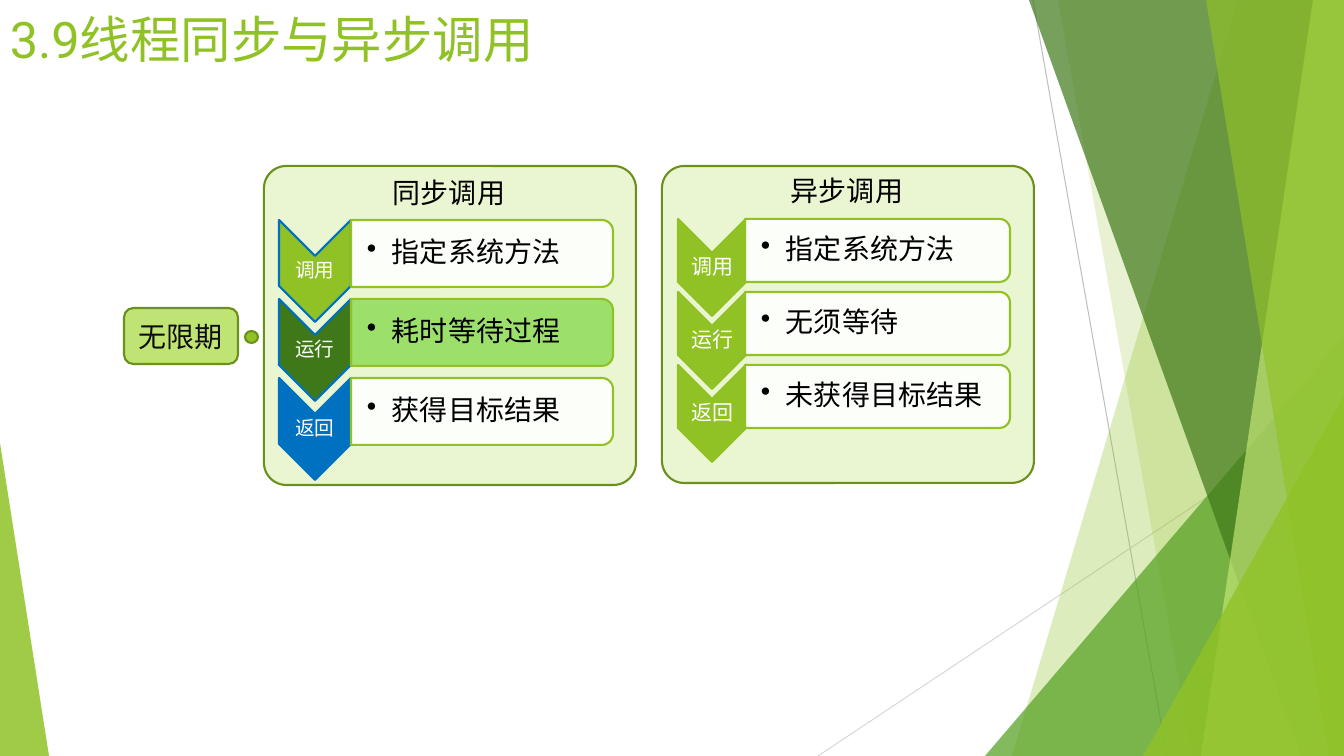
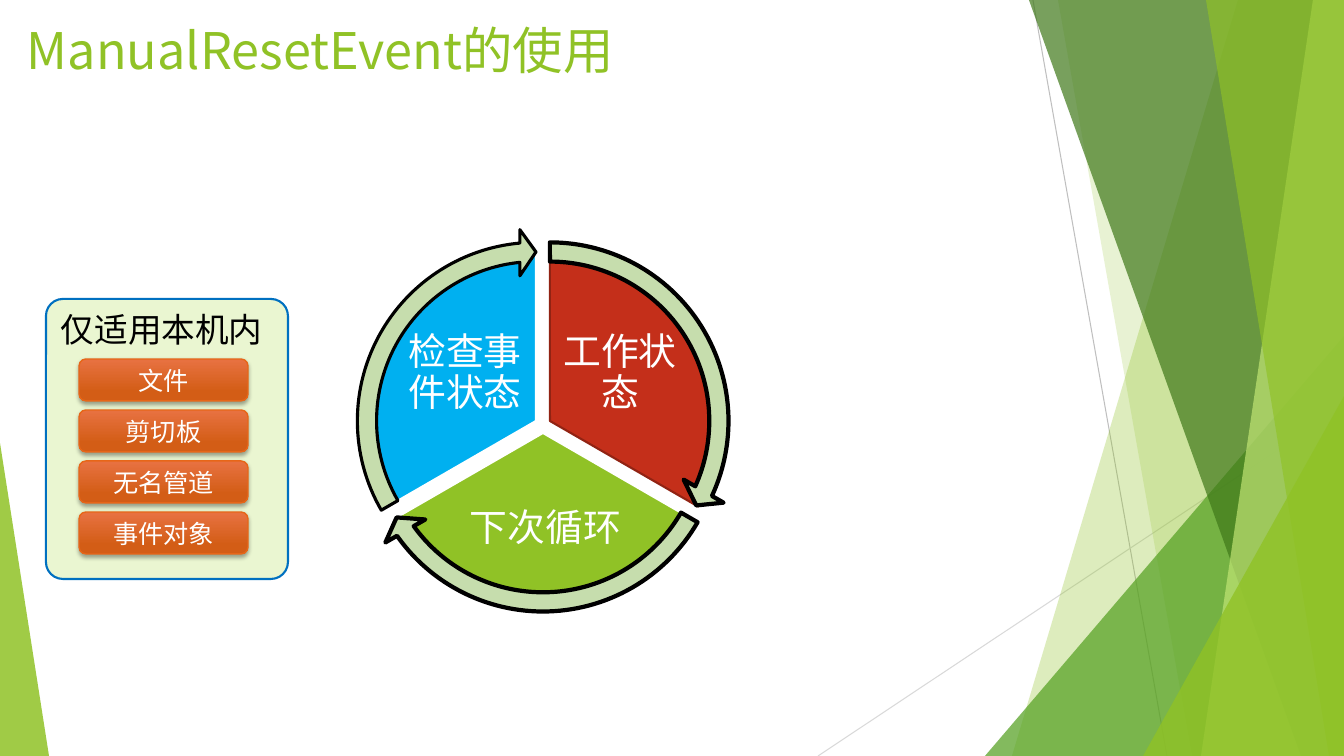
from lxml.etree import SubElement
from pptx import Presentation
from pptx.dml.color import RGBColor
from pptx.enum.shapes import MSO_CONNECTOR, MSO_SHAPE as SHAPE
from pptx.enum.text import MSO_ANCHOR, PP_ALIGN
from pptx.oxml.ns import qn
from pptx.util import Emu, Pt

WIDTH, HEIGHT = 1344, 756
SCALE = 12192000 / WIDTH

WHITE = RGBColor(0xFF, 0xFF, 0xFF)
BLACK = RGBColor(0, 0, 0)
INK = RGBColor(0x0D, 0x0D, 0x0D)
GREY = RGBColor(0xBF, 0xBF, 0xBF)
PALE_GREY = RGBColor(0xD9, 0xD9, 0xD9)
LIME = RGBColor(0x90, 0xC2, 0x26)
PALE_LIME = RGBColor(0xC0, 0xE4, 0x74)
MIST = RGBColor(0xEA, 0xF6, 0xD1)
OLIVE = RGBColor(0x6B, 0x90, 0x1C)
GREEN = RGBColor(0x54, 0xA0, 0x21)
DARK_GREEN = RGBColor(0x3F, 0x78, 0x19)
LIGHT_GREEN = RGBColor(0x94, 0xDE, 0x61)
SAGE = RGBColor(0xC6, 0xDD, 0xAD)
BLUE = RGBColor(0x00, 0x70, 0xC0)
SKY = RGBColor(0x00, 0xB0, 0xF0)
RED = RGBColor(0xC4, 0x2F, 0x1A)
DARK_RED = RGBColor(0x91, 0x23, 0x13)
ORANGE = RGBColor(0xE8, 0x72, 0x42)
DARK_ORANGE = RGBColor(0xD3, 0x5D, 0x16)
EDGE_ORANGE = RGBColor(0xE7, 0x66, 0x18)

NOTO = "Noto Sans CJK SC"
ROBOTO = "Roboto"
CENTER = PP_ALIGN.CENTER


def px(n):
    return Emu(round(n * SCALE))


def paint(s, fill, line=None, weight=1.5, alpha=100):
    s.shadow.inherit = False
    s.fill.solid()
    s.fill.fore_color.rgb = fill
    if alpha < 100:
        color = s._element.spPr.find(qn("a:solidFill")).find(qn("a:srgbClr"))
        SubElement(color, qn("a:alpha"), val=str(alpha * 1000))
    if line is None:
        s.line.fill.background()
    else:
        s.line.color.rgb = line
        s.line.width = Pt(weight)


def add_box(slide, kind, box, fill, line=None, weight=1.5, alpha=100, adj=()):
    s = slide.shapes.add_shape(kind, *map(px, box))
    for i, value in enumerate(adj):
        s.adjustments[i] = value
    paint(s, fill, line, weight, alpha)
    return s


def add_turned(slide, kind, box, fill, line, alpha=100):
    x, y, w, h = box
    unturned = (x + (w - h) / 2, y + (h - w) / 2, h, w)
    s = add_box(slide, kind, unturned, fill, line, alpha=alpha)
    s.rotation = 90


def write(s, text, size, color, font=NOTO, align=PP_ALIGN.LEFT,
          anchor=MSO_ANCHOR.MIDDLE, wrap=True, spacing=None):
    tf = s.text_frame
    tf.word_wrap = wrap
    tf.vertical_anchor = anchor
    p = tf.paragraphs[0]
    p.text = text
    p.alignment = align
    if spacing:
        p.line_spacing = spacing
    p.font.size = Pt(size)
    p.font.color.rgb = color
    p.font.name = font
    props = p._p.get_or_add_pPr().find(qn("a:defRPr"))
    SubElement(props, qn("a:ea"), typeface=NOTO)
    return p


def add_text(slide, box, text, size, color, inset=None, **style):
    s = slide.shapes.add_textbox(*map(px, box))
    if inset is not None:
        tf = s.text_frame
        tf.margin_left = tf.margin_right = px(inset)
        tf.margin_top = tf.margin_bottom = px(inset)
    p = write(s, text, size, color, **style)
    return s, p


def add_heading(slide, box, text, size):
    add_text(slide, box, text, size, BLACK, anchor=MSO_ANCHOR.TOP, wrap=False)


def add_bullet(slide, box, text):
    s, p = add_text(slide, box, text, 20, BLACK, inset=1, spacing=0.9)
    s.text_frame.margin_left = px(16)
    props = p._p.get_or_add_pPr()
    props.set("marL", str(px(25)))
    props.set("indent", str(-px(25)))
    bullet = props.makeelement(qn("a:buChar"), {"char": "•"})
    props.find(qn("a:defRPr")).addprevious(bullet)


def add_line(slide, start, end, color):
    s = slide.shapes.add_connector(MSO_CONNECTOR.STRAIGHT, *map(px, start + end))
    s.line.color.rgb = color
    s.line.width = Pt(0.75)
    SubElement(s._element.spPr, qn("a:effectLst"))


def add_veil(slide, top, bottom, color, alpha):
    builder = slide.shapes.build_freeform(px(top), 0)
    corners = [(WIDTH, 0), (WIDTH, HEIGHT), (bottom, HEIGHT)]
    builder.add_line_segments([(px(x), px(y)) for x, y in corners])
    paint(builder.convert_to_shape(), color, alpha=alpha)


def add_corner(slide, box, apex, color, alpha):
    add_box(slide, SHAPE.ISOSCELES_TRIANGLE, box, color, alpha=alpha, adj=[apex])


def add_backdrop(slide):
    add_line(slide, (1033, 0), (1167, HEIGHT), GREY)
    add_line(slide, (WIDTH, 406), (818, HEIGHT), PALE_GREY)
    add_veil(slide, 1238, 1012, LIME, 30)
    add_veil(slide, 1058, 1192, LIME, 20)
    add_corner(slide, (985, 336, 359, 420), 1, GREEN, 72)
    add_veil(slide, 1029, 1301, DARK_GREEN, 70)
    add_veil(slide, 1313, 1201, PALE_LIME, 70)
    add_veil(slide, 1206, 1329, LIME, 65)
    add_corner(slide, (1143, 396, 201, 360), 1, LIME, 80)
    add_corner(slide, (0, 443, 49, 313), 0, LIME, 85)


def add_titled_slide(prs, box, title, font):
    slide = prs.slides.add_slide(prs.slide_layouts[6])
    add_backdrop(slide)
    add_text(slide, box, title, 36, LIME, font=font, anchor=MSO_ANCHOR.TOP)
    return slide


def add_panel(slide, box, line):
    add_box(slide, SHAPE.ROUNDED_RECTANGLE, box, MIST, line, adj=[0.07])


def add_step(slide, chevron, bar, label, text, size, font, colors):
    chevron_fill, chevron_line, bar_fill = colors
    x, y, w, h = chevron
    add_turned(slide, SHAPE.CHEVRON, chevron, chevron_fill, chevron_line)
    add_text(slide, (x, y + w / 2, w, h - w), label, size, WHITE, inset=1,
             font=font, align=CENTER, spacing=0.9)
    add_turned(slide, SHAPE.ROUND_2_SAME_RECTANGLE, bar, bar_fill, LIME, 90)
    add_bullet(slide, bar, text)


def add_steps(slide, chevron, bar, pitch, size, font, texts, colors):
    for i, (label, text) in enumerate(zip(["调用", "运行", "返回"], texts)):
        boxes = [(x, y + i * pitch, w, h) for x, y, w, h in (chevron, bar)]
        add_step(slide, *boxes, label, text, size, font, colors[i])


def add_button(slide, box, text):
    s = add_box(slide, SHAPE.ROUNDED_RECTANGLE, box, ORANGE, EDGE_ORANGE, 1)
    s.fill.gradient()
    s.fill.gradient_angle = 270
    stops = zip(s.fill.gradient_stops, (0, 0.78), (ORANGE, DARK_ORANGE))
    for stop, position, color in stops:
        stop.position = position
        stop.color.rgb = color
    shadow = SubElement(s._element.spPr.find(qn("a:effectLst")),
                        qn("a:outerShdw"), blurRad=str(Pt(3)),
                        dist=str(Pt(2)), dir="5400000", rotWithShape="0")
    color = SubElement(shadow, qn("a:srgbClr"), val=str(BLACK))
    SubElement(color, qn("a:alpha"), val="35000")
    write(s, text, 18, WHITE, align=CENTER)


def add_cycle(slide):
    sectors = [
        ("工作状态", (379, 250), (559, 323, 122, 102), (162, 18),
         RED, DARK_RED, (14.73, 161.99), 3),
        ("下次循环", (372, 262), (454, 484, 183, 90), (18, 90),
         LIME, WHITE, (86.72, 18), 3),
        ("检查事件状态", (365, 250), (404, 323, 122, 102), (90, 162),
         SKY, WHITE, (158.73, 90), 2.25),
    ]
    for text, corner, label, angles, fill, line, _, _ in sectors:
        add_box(slide, SHAPE.PIE, corner + (342, 342), fill, line, adj=angles)
        add_text(slide, label, text, 27, WHITE, inset=4, font=ROBOTO,
                 align=CENTER, spacing=0.9)
    for _, (x, y), _, _, _, _, (end, start), weight in sectors:
        add_box(slide, SHAPE.CIRCULAR_ARROW, (x - 21, y - 21, 384, 384), SAGE,
                BLACK, weight, adj=(0.05, 3.28, end, start, 0.06))


def build_calls(prs):
    slide = add_titled_slide(prs, (0, 3, 626, 79), "3.9线程同步与异步调用", ROBOTO)

    add_panel(slide, (662, 166, 372, 317), OLIVE)
    add_steps(slide, (678, 219, 68, 97), (745, 219, 265, 63), 73, 15, ROBOTO,
              ["指定系统方法", "无须等待", "未获得目标结果"],
              [(LIME, LIME, WHITE)] * 3)
    add_heading(slide, (781, 169, 133, 44), "异步调用", 20)

    add_panel(slide, (264, 166, 372, 319), OLIVE)
    add_steps(slide, (279, 220, 72, 102), (351, 220, 262, 67), 79, 14, NOTO,
              ["指定系统方法", "耗时等待过程", "获得目标结果"],
              [(LIME, BLUE, WHITE), (DARK_GREEN, BLUE, LIGHT_GREEN),
               (BLUE, BLUE, WHITE)])
    add_heading(slide, (383, 171, 133, 44), "同步调用", 20)

    s = add_box(slide, SHAPE.ROUNDED_RECTANGLE, (124, 308, 114, 56),
                PALE_LIME, OLIVE)
    write(s, "无限期", 20, INK, align=CENTER)
    add_box(slide, SHAPE.OVAL, (245, 331, 13, 12), LIME, OLIVE)


def build_event(prs):
    slide = add_titled_slide(prs, (17, 14, 850, 84), "ManualResetEvent的使用", NOTO)
    add_cycle(slide)
    add_panel(slide, (46, 299, 242, 280), BLUE)
    add_heading(slide, (51, 304, 224, 50), "仅适用本机内", 24)
    for i, text in enumerate(["文件", "剪切板", "无名管道", "事件对象"]):
        add_button(slide, (79, 359 + 51 * i, 169, 42), text)


def main():
    prs = Presentation()
    prs.slide_width, prs.slide_height = px(WIDTH), px(HEIGHT)
    build_calls(prs)
    build_event(prs)
    prs.save("out.pptx")


if __name__ == "__main__":
    main()
